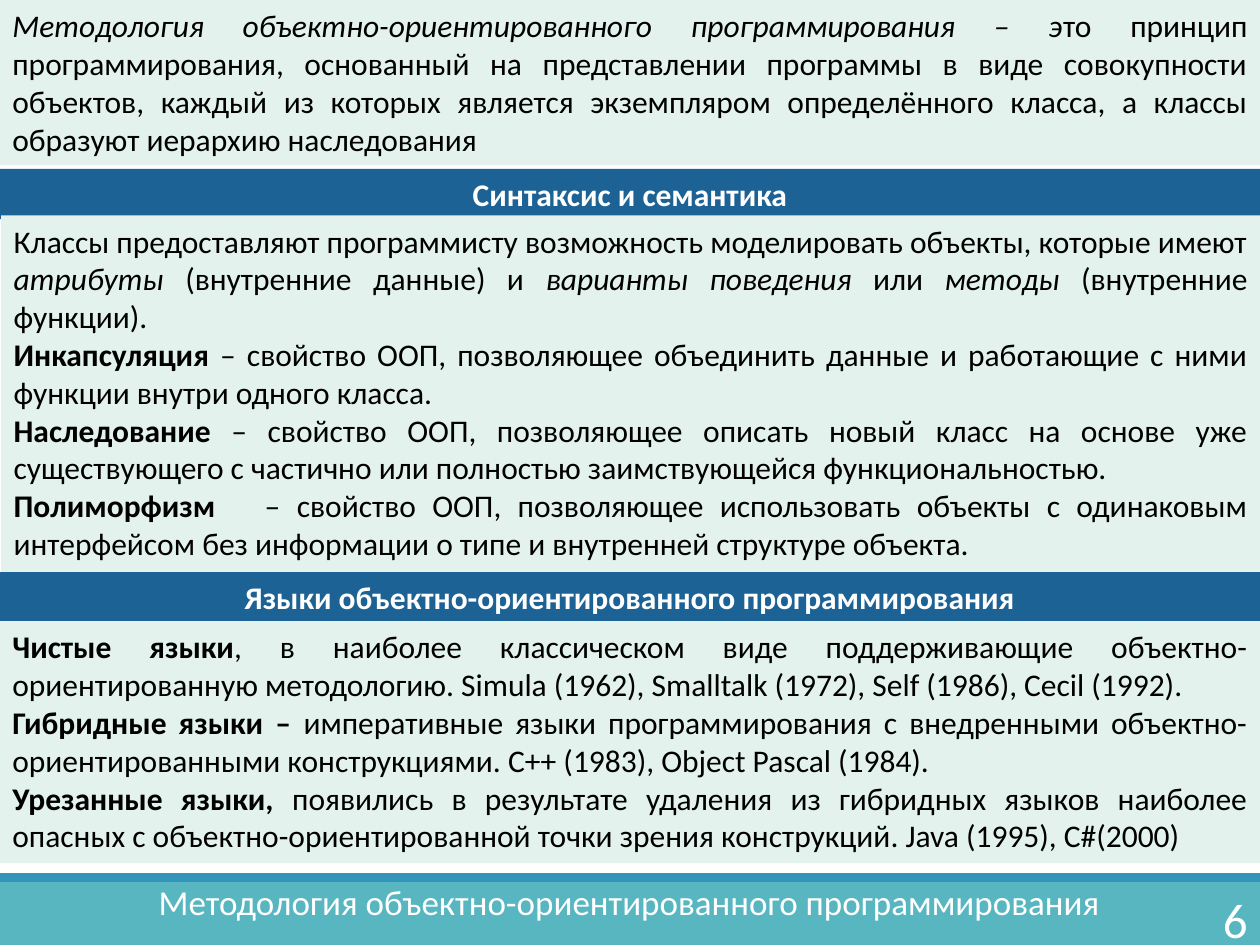
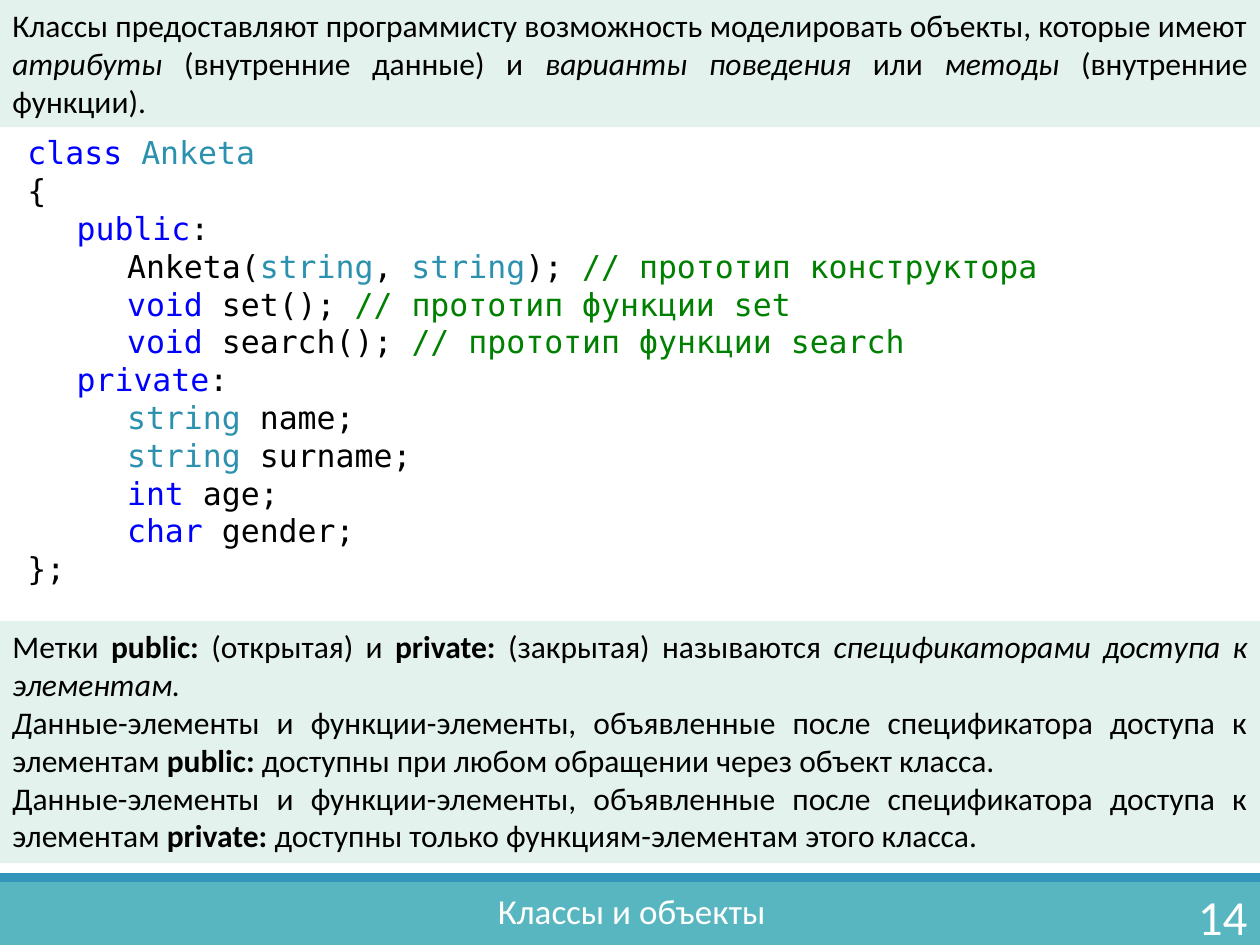
from dataclasses import dataclass

from lxml import etree
from pptx import Presentation
from pptx import util as u
from pptx.dml.color import RGBColor
from pptx.enum import shapes, text
from pptx.oxml import ns

PX = 9144  # EMU in one px, 100 px to the inch
WIDE, HIGH = 1000, 750
TABS = (39, 79)


@dataclass(frozen=True)
class Theme:
    sans: str = "Calibri"
    mono: str = "DejaVu Sans Mono"
    body: int = 18
    title: int = 20
    page: int = 28
    white: str = "FFFFFF"
    black: str = "000000"
    mint: str = "E3F2ED"
    navy: str = "1D6294"
    teal: str = "58B6C0"
    blue: str = "3494BA"


T = Theme()
# Code colours by mark: key word, type, note
INKS = {"k": "0000FF", "t": "2B91AF", "n": "008000"}


@dataclass(frozen=True)
class Box:
    x: int
    y: int
    w: int
    h: int

    def emu(self) -> list[int]:
        return [v * PX for v in (self.x, self.y, self.w, self.h)]


@dataclass(frozen=True)
class Look:
    align: text.PP_ALIGN
    ink: str = T.black
    size: int = T.body
    face: str = T.sans
    bold: bool = False
    tabs: tuple[int, ...] = ()


@dataclass(frozen=True)
class Run:
    text: str
    mark: str = ""  # b bold, i italic, or a key of INKS


Para = list[Run]


@dataclass(frozen=True)
class Panel:
    box: Box
    paras: list[Para]
    look: Look
    fill: str


@dataclass(frozen=True)
class Page:
    title: str
    place: Box
    number: str
    spot: Box
    panels: list[Panel]
    code: list[Para]


PROSE = Look(text.PP_ALIGN.JUSTIFY)
HEAD = Look(text.PP_ALIGN.CENTER, T.white, bold=True)
TITLE = Look(text.PP_ALIGN.CENTER, T.white, T.title)
COUNT = Look(text.PP_ALIGN.RIGHT, T.white, T.page)
CODE = Look(text.PP_ALIGN.LEFT, face=T.mono, tabs=TABS)


def write(frame, paras: list[Para], look: Look) -> None:
    """Fill a text frame with styled paragraphs."""
    frame.word_wrap = True
    frame.auto_size = text.MSO_AUTO_SIZE.NONE
    for i, runs in enumerate(paras):
        para = frame.add_paragraph() if i else frame.paragraphs[0]
        para.alignment = look.align
        if look.tabs:
            stops = etree.SubElement(para._p.get_or_add_pPr(), ns.qn("a:tabLst"))
            for stop in look.tabs:
                etree.SubElement(stops, ns.qn("a:tab"), pos=str(stop * PX), algn="l")
        font = para.font
        font.name, font.size, font.bold = look.face, u.Pt(look.size), look.bold
        font.color.rgb = RGBColor.from_string(look.ink)
        for item in runs:
            run = para.add_run()
            run.text = item.text
            if item.mark == "b":
                run.font.bold = True
            elif item.mark == "i":
                run.font.italic = True
            elif item.mark:
                run.font.color.rgb = RGBColor.from_string(INKS[item.mark])


def block(slide, box: Box, fill: str):
    """Draw a plain filled rectangle."""
    shape = slide.shapes.add_shape(shapes.MSO_SHAPE.RECTANGLE, *box.emu())
    shape.shadow.inherit = False
    shape.fill.solid()
    shape.fill.fore_color.rgb = RGBColor.from_string(fill)
    shape.line.fill.background()
    return shape


def panel(slide, item: Panel) -> None:
    frame = block(slide, item.box, item.fill).text_frame
    frame.vertical_anchor = text.MSO_ANCHOR.TOP
    write(frame, item.paras, item.look)


def label(slide, box: Box, paras: list[Para], look: Look):
    frame = slide.shapes.add_textbox(*box.emu()).text_frame
    write(frame, paras, look)
    return frame


def bands(slide, layout) -> None:
    """Put the footer bands on the layout, behind every slide."""
    for box, fill in ((Box(0, 700, WIDE, 50), T.teal), (Box(0, 693, WIDE, 7), T.blue)):
        layout.shapes._spTree.append(block(slide, box, fill)._element)


def build(slide, page: Page) -> None:
    # Title in the footer
    title = slide.shapes.title
    title.left, title.top, title.width, title.height = page.place.emu()
    frame = title.text_frame
    frame.margin_left = frame.margin_right = frame.margin_top = frame.margin_bottom = 0
    frame.vertical_anchor = text.MSO_ANCHOR.TOP
    write(frame, [[Run(page.title)]], TITLE)
    # Content
    for item in page.panels:
        panel(slide, item)
    if page.code:
        frame = label(slide, Box(12, 106, 874, 364), page.code, CODE)
        frame.margin_top = frame.margin_bottom = 0
    # Page number
    frame = label(slide, page.spot, [[Run(page.number)]], COUNT)
    frame.vertical_anchor = text.MSO_ANCHOR.MIDDLE


def prose(box: Box, *paras: Para) -> Panel:
    return Panel(box, list(paras), PROSE, T.mint)


def head(y: int, words: str) -> Panel:
    return Panel(Box(0, y, WIDE, 40), [[Run(words)]], HEAD, T.navy)


def field(kind: str, mark: str, name: str) -> Para:
    return [Run("\t\t" + kind, mark), Run(f" {name};")]


def proto(name: str) -> Para:
    return [Run("\t\tvoid ", "k"), Run(f"{name}(); "), Run(f"// прототип функции {name}", "n")]


def scope(name: str) -> Para:
    return [Run("\t" + name, "k"), Run(":")]


# Wording used on both slides
CLASSES = [
    Run("Классы предоставляют программисту возможность моделировать объекты, которые имеют "),
    Run("атрибуты ", "i"), Run("(внутренние данные) и "),
    Run("варианты поведения ", "i"), Run("или "),
    Run("методы ", "i"), Run("(внутренние функции)."),
]
ACCESS = ("анные-элементы и функции-элементы, объявленные после "
          "спецификатора доступа к элементам ")
LOWER = Box(0, 493, WIDE, 192)

METHOD = Page(
    "Методология объектно-ориентированного программирования", Box(98, 699, 803, 34),
    "6", Box(892, 709, 108, 40),
    [
        prose(Box(0, 0, WIDE, 131), [
            Run("Методология объектно-ориентированного программирования – э", "i"),
            Run("то принцип программирования, основанный на представлении программы в виде "
                "совокупности объектов, каждый из которых является экземпляром определённого "
                "класса, а классы образуют иерархию наследования")]),
        head(134, "Синтаксис и семантика"),
        prose(
            Box(1, 171, 999, 283),
            CLASSES,
            [Run("Инкапсуляция", "b"),
             Run(" – свойство ООП, позволяющее объединить данные и работающие с ними функции "
                 "внутри одного класса.")],
            [Run("Наследование", "b"),
             Run(" – свойство ООП, позволяющее описать новый класс на основе уже существующего "
                 "с частично или полностью заимствующейся функциональностью.")],
            [Run("Полиморфизм", "b"),
             Run("   – свойство ООП, позволяющее использовать объекты с одинаковым интерфейсом "
                 "без информации о типе и внутренней структуре объекта.")]),
        head(454, "Языки объектно-ориентированного программирования"),
        prose(
            LOWER,
            [Run("Чистые языки", "b"),
             Run(", в наиболее классическом виде поддерживающие объектно-ориентированную "
                 "методологию. Simula (1962), Smalltalk (1972), Self (1986), Cecil (1992).")],
            [Run("Гибридные языки – ", "b"),
             Run("императивные языки программирования с внедренными объектно-ориентированными "
                 "конструкциями. C++ (1983), Object Pascal (1984).")],
            [Run("Урезанные языки,", "b"),
             Run(" появились в результате удаления из гибридных языков наиболее опасных с "
                 "объектно-ориентированной точки зрения конструкций. Java (1995), C#(2000)")]),
    ],
    [],
)

OBJECTS = Page(
    "Классы и объекты", Box(336, 706, 331, 34),
    "14", Box(892, 707, 108, 40),
    [
        prose(Box(0, 0, WIDE, 101), CLASSES),
        prose(
            LOWER,
            [Run("Метки "), Run("public:", "b"), Run(" (открытая) и "), Run("private:", "b"),
             Run(" (закрытая) называются "), Run("спецификаторами доступа к элементам. ", "i")],
            [Run("Д", "i"), Run(ACCESS), Run("public:", "b"),
             Run(" доступны при любом обращении через объект класса. ")],
            [Run("Д" + ACCESS), Run("private:", "b"),
             Run(" доступны только функциям-элементам этого класса.")]),
    ],
    [
        [Run("class ", "k"), Run("Anketa", "t")],
        [Run("{")],
        scope("public"),
        [Run("\t\tAnketa("), Run("string", "t"), Run(","), Run(" string", "t"), Run("); "),
         Run("// прототип конcтруктора", "n")],
        proto("set"),
        proto("search"),
        scope("private"),
        field("string", "t", "name"),
        field("string", "t", "surname"),
        field("int", "k", "age"),
        field("char", "k", "gender"),
        [Run("};")],
    ],
)


def main() -> None:
    deck = Presentation()
    deck.slide_width, deck.slide_height = WIDE * PX, HIGH * PX
    layout = deck.slide_layouts[5]  # title only
    for i, page in enumerate((METHOD, OBJECTS)):
        slide = deck.slides.add_slide(layout)
        if not i:
            bands(slide, layout)
        build(slide, page)
    deck.save("out.pptx")


if __name__ == "__main__":
    main()
